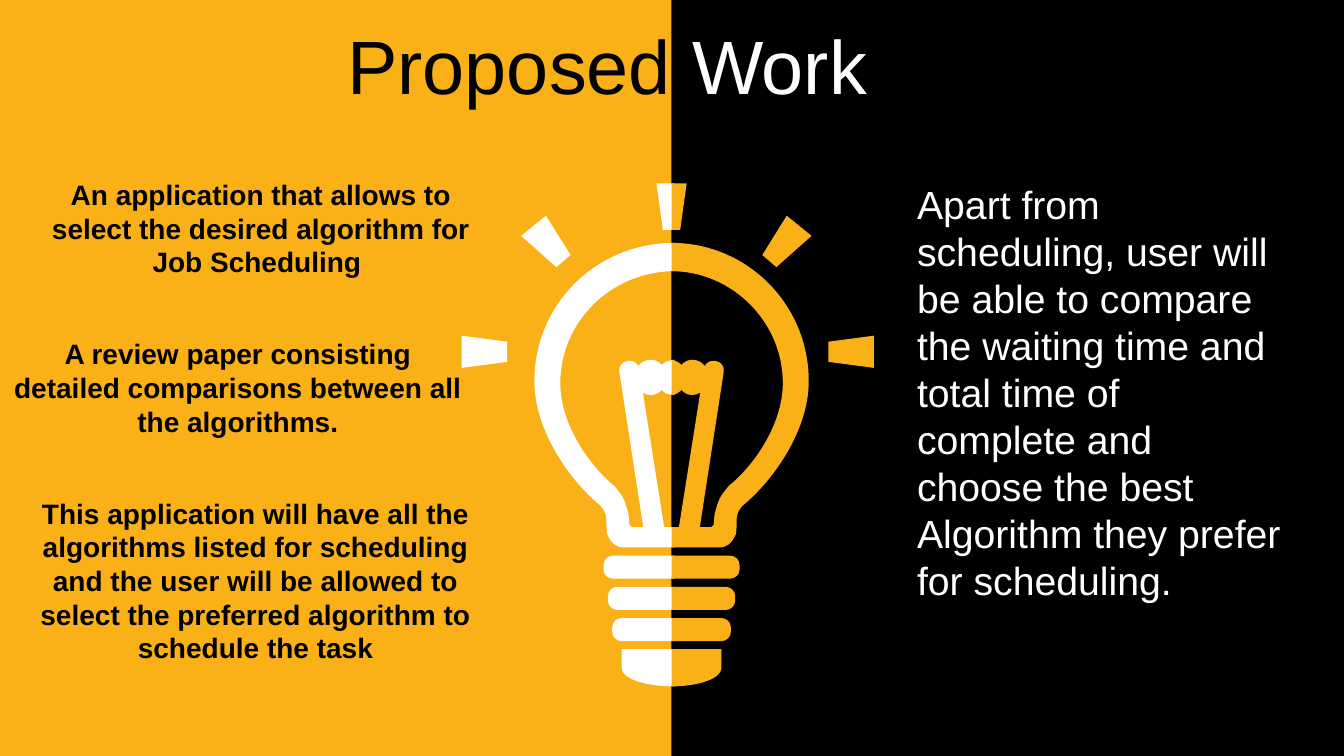
"""Build the Proposed Work slide with a two-tone light bulb."""
from lxml import etree
from pptx import Presentation
from pptx.dml.color import RGBColor
from pptx.enum.shapes import MSO_SHAPE
from pptx.enum.text import MSO_ANCHOR, MSO_AUTO_SIZE, PP_ALIGN
from pptx.oxml.ns import qn
from pptx.util import Pt

RECTANGLE = MSO_SHAPE.RECTANGLE
LEFT, CENTER = PP_ALIGN.LEFT, PP_ALIGN.CENTER
TOP, MIDDLE = MSO_ANCHOR.TOP, MSO_ANCHOR.MIDDLE
GROW = MSO_AUTO_SIZE.SHAPE_TO_FIT_TEXT
FIXED = MSO_AUTO_SIZE.NONE

COLORS = {"amber": "FAB117", "black": "000000", "white": "FFFFFF"}
FONT = "Arial"
BULB_AXIS, SIDE_RAY_AXIS, SLANTED_RAY_AXIS = 479.7, 477, 476

GLASS = [
    (0, 173.5),
    (54, 173.5, 98, 217.5, 98, 272.2),
    (98, 308.9, 71, 344.9, 50.5, 361.4),
    (44.5, 368.6, 47.5, 372.2, 46, 381.6),
    (42.5, 388.8, 39.5, 391, 33.5, 391),
    (0, 391), (0, 376.6), (5.3, 376.6), (20.5, 280.5),
    (18.6, 281.7, 16.6, 282.2, 14.7, 282.2),
    (11.8, 282.2, 9, 280.8, 7.1, 278.6),
    (5, 280.8, 2.5, 282, 0, 282.2),
    (0, 257),
    (2.5, 257.4, 5, 258.6, 7.1, 260.6),
    (9, 258.5, 11.8, 257, 14.7, 257),
    (18.6, 257, 21.9, 258.8, 23.7, 261.4),
    (25.3, 258.6, 28.3, 257.2, 31.5, 257.8),
    (35.5, 258.4, 38, 262, 37.3, 265.7),
    (20.2, 376.6), (25, 376.6),
    (32, 376.6, 29.5, 375.5, 30.8, 367.2),
    (33.8, 356.4, 33.8, 355.7, 41, 347),
    (58, 333.4, 79.5, 303.8, 79.5, 273.6),
    (79.5, 230.4, 44, 194, 0, 193.7),
]
BASE = [(0, 463.7), (35.6, 463.7), (35.6, 477.4), (35.6, 484.6, 19.4, 490.3, 0, 490.3)]
TOP_RAY = [(0, 131), (10.8, 131), (6.2, 164.2), (0, 164.2)]
SIDE_RAY = [(147.2, 239.8), (114.8, 244.1), (114.8, 258.5), (147.2, 262.8)]
SLANTED_RAY = [(86, 154.1), (68.5, 182.2), (78.6, 190.8), (103.7, 168.5)]


def screw_ring(index):
    """Return the half outline of one rounded ring below the glass."""
    top = 396.9 + 22.3 * index
    bottom = top + 16.5
    outer = 48.6 - 3.1 * index
    inner, bend = outer - 6.8, outer - 3
    return [
        (0, top), (inner, top),
        (bend, top, outer, top + 3, outer, top + 6.8),
        (outer, bottom - 6.8),
        (outer, bottom - 3, bend, bottom, inner, bottom),
        (0, bottom),
    ]


BULB_PARTS = [(BULB_AXIS, part) for part in
              [BASE, *map(screw_ring, range(3)), GLASS, TOP_RAY]]
BULB_PARTS += [(SIDE_RAY_AXIS, SIDE_RAY), (SLANTED_RAY_AXIS, SLANTED_RAY)]


class Painter:
    """Hold the style and the current page."""

    def __init__(self, page):
        self.page = page

    def color(self, name):
        """Return a named colour."""
        return RGBColor.from_string(COLORS[name])

    def background(self, color):
        """Fill the page background."""
        fill = self.page.background.fill
        fill.solid()
        fill.fore_color.rgb = self.color(color)

    def paint(self, shape, color):
        """Give a shape a plain fill without line or shadow."""
        shape.shadow.inherit = False
        shape.fill.solid()
        shape.fill.fore_color.rgb = self.color(color)
        shape.line.fill.background()

    def panel(self, left, top, width, height, color):
        """Add a plain rectangle."""
        box = self.page.shapes.add_shape(RECTANGLE, Pt(left), Pt(top), Pt(width), Pt(height))
        self.paint(box, color)

    def bulb_half(self, side, overlap, color):
        """Add one half of the bulb; side is -1 for left and 1 for right."""
        builder = None
        steps = []
        for axis, outline in BULB_PARTS:
            placed = [
                [(Pt(axis + side * (x or -overlap)), Pt(y))
                 for x, y in zip(step[::2], step[1::2])]
                for step in outline
            ]
            ends = [step[-1] for step in placed]
            if builder is None:
                builder = self.page.shapes.build_freeform(*ends[0])
            else:
                builder.move_to(*ends[0])
            builder.add_line_segments(ends[1:], close=True)
            steps += placed[1:]
        half = builder.convert_to_shape()
        self.bend(half, steps)
        self.paint(half, color)

    def bend(self, shape, steps):
        """Turn the segments that have control points into cubic curves."""
        segments = list(shape.element.iter(qn("a:lnTo")))
        for segment, points in zip(segments, steps):
            if len(points) == 1:
                continue
            curve = etree.Element(qn("a:cubicBezTo"))
            for x, y in points:
                etree.SubElement(curve, qn("a:pt"),
                                 x=str(int(x - shape.left)), y=str(int(y - shape.top)))
            segment.getparent().replace(segment, curve)

    def text(self, frame, spans, size, bold=False, align=CENTER, anchor=TOP, fit=GROW):
        """Add a wrapped text box and return its paragraph."""
        box = self.page.shapes.add_textbox(*map(Pt, frame))
        text_frame = box.text_frame
        text_frame.word_wrap = True
        text_frame.auto_size = fit
        text_frame.vertical_anchor = anchor
        para = text_frame.paragraphs[0]
        para.alignment = align
        for wording, color in spans:
            span = para.add_run()
            span.text = wording
            span.font.name = FONT
            span.font.size = Pt(size)
            span.font.bold = bold
            span.font.color.rgb = self.color(color)
        return para


def main():
    """Build and save the deck."""
    deck = Presentation()
    deck.slide_width, deck.slide_height = Pt(960), Pt(540)
    painter = Painter(deck.slides.add_slide(deck.slide_layouts[6]))
    painter.background("black")
    painter.panel(-2.2, 0, 481.9, 540, "amber")
    painter.bulb_half(-1, 2, "white")
    painter.bulb_half(1, 0, "amber")

    painter.text((16.4, 123.3, 339.8, 79.9),
                 [("An application that allows to select the desired algorithm for "
                   "Job Scheduling ", "black")], 20, bold=True)
    title = painter.text((-22, 21.2, 911.5, 56.9),
                         [("Proposed ", "black"), ("Work", "white")],
                         54, anchor=MIDDLE, fit=FIXED)
    title.line_spacing = 0.9
    title.space_before = Pt(10)
    painter.text((18.7, 350.9, 327.6, 128.2),
                 [("This application will have all the algorithms listed for scheduling "
                   "and the user will be allowed to select the preferred algorithm to "
                   "schedule the task", "black")], 20, bold=True)
    painter.text((648, 125, 277.2, 312.5),
                 [("Apart from scheduling, user will be able to compare the waiting time and "
                   "total time of complete and choose the best Algorithm they prefer for "
                   "scheduling.", "white")], 28, align=LEFT)
    painter.text((0, 237.1, 339.8, 79.9),
                 [("A review paper consisting detailed comparisons between all the "
                   "algorithms.", "black")], 20, bold=True)
    deck.save("out.pptx")


if __name__ == "__main__":
    main()
